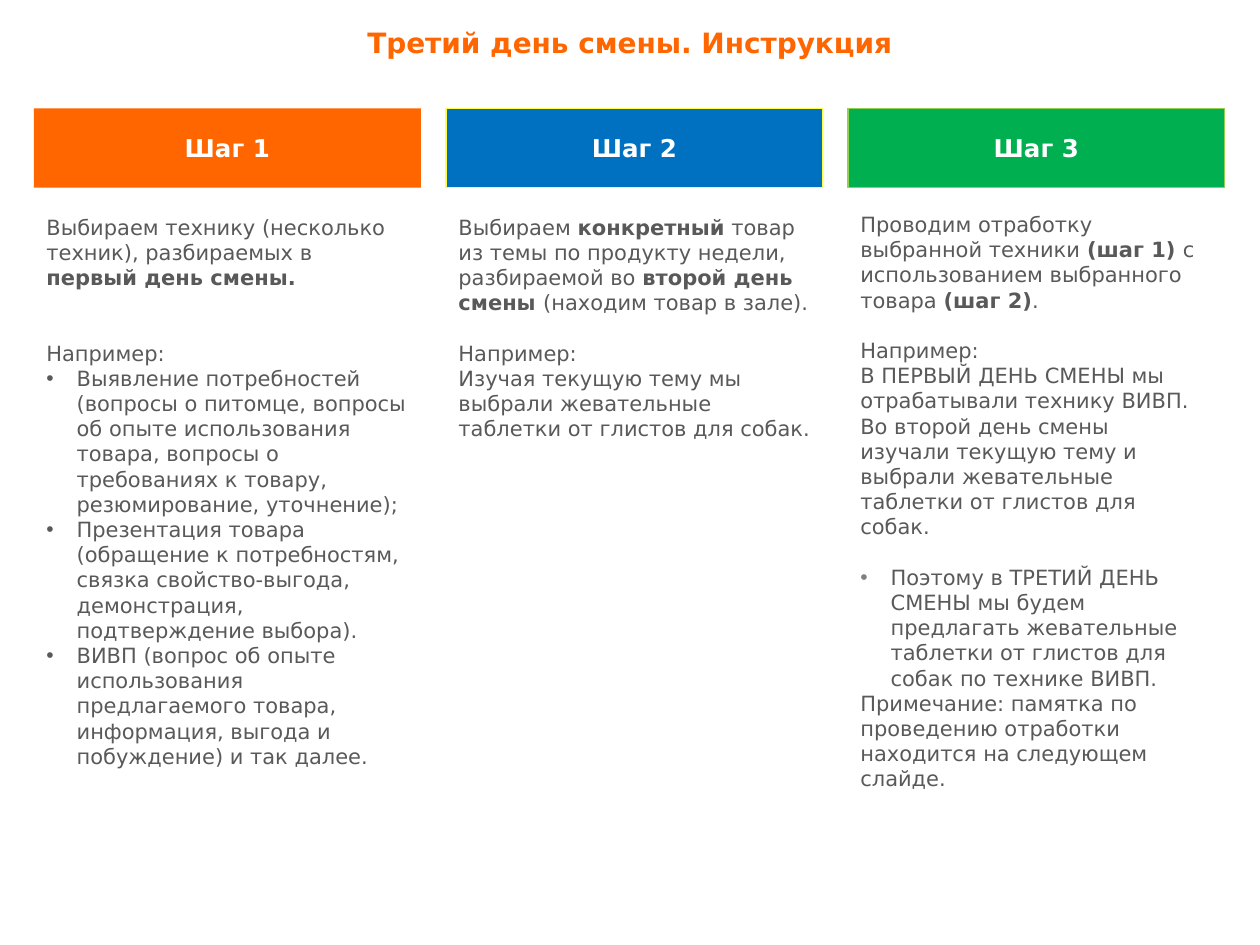
"""Build the three-step instruction slide for the third day of the shift."""
from itertools import accumulate

from lxml.etree import SubElement
from pptx import Presentation
from pptx.dml.color import RGBColor
from pptx.enum.shapes import MSO_SHAPE as Shape
from pptx.enum.text import MSO_ANCHOR as Anchor, MSO_AUTO_SIZE as AutoSize, PP_ALIGN as Align
from pptx.oxml.ns import qn
from pptx.util import Inches, Pt

FONT = "DejaVu Sans"
ORANGE, WHITE, GREY, LIGHT_GREY = "FF6600", "FFFFFF", "595959", "808080"
TITLE = "Третий день смены. Инструкция"

STEPS = [
    {"name": "Шаг 1", "fill": ORANGE, "line": None, "width": 3.07,
     "body": (1.65, 3.07, 4.96), "text": [
         ("Выбираем технику (несколько техник), разбираемых в **первый день смены.**", 0, None),
         ("Например:", 2, None),
         ("Выявление потребностей (вопросы о питомце, вопросы об опыте использования товара, "
          "вопросы о требованиях к товару, резюмирование, уточнение);", 0, GREY),
         ("Презентация товара (обращение к потребностям, связка свойство-выгода, "
          "демонстрация, подтверждение выбора).", 0, GREY),
         ("ВИВП (вопрос об опыте использования предлагаемого товара, информация, "
          "выгода и побуждение) и так далее.", 0, GREY)]},
    {"name": "Шаг 2", "fill": "0070C0", "line": "FFFF47", "width": 2.99,
     "body": (1.65, 2.99, 2.99), "text": [
         ("Выбираем **конкретный** товар из темы по продукту недели, разбираемой во "
          "**второй день смены **(находим товар в зале).", 0, None),
         ("Например:", 1, None),
         ("Изучая текущую тему мы выбрали жевательные таблетки от глистов для собак.", 0, None)]},
    {"name": "Шаг 3", "fill": "00B050", "line": "92D050", "width": 2.99,
     "body": (1.63, 2.91, 4.96), "text": [
         ("Проводим отработку выбранной техники **(шаг 1) **с использованием выбранного "
          "товара **(шаг 2)**.", 0, None),
         ("Например:", 1, None),
         ("В ПЕРВЫЙ ДЕНЬ СМЕНЫ мы отрабатывали технику ВИВП. Во второй день смены изучали "
          "текущую тему и выбрали жевательные таблетки от глистов для собак.", 0, None),
         ("Поэтому в ТРЕТИЙ ДЕНЬ СМЕНЫ мы будем предлагать жевательные таблетки "
          "от глистов для собак по технике ВИВП.", 1, LIGHT_GREY),
         ("Примечание: памятка по проведению отработки находится на следующем слайде.", 0, None)]},
]
MARGIN, GAP, HEADER_TOP, HEADER_HEIGHT = 0.27, 0.2, 0.86, 0.63
BLANK_LINE, BULLET_INDENT = 14.4, 0.24


def color(value):
    return RGBColor.from_string(value)


def add_bullet(para, value):
    props = para._p.get_or_add_pPr()
    indent = Inches(BULLET_INDENT)
    props.set("marL", str(indent))
    props.set("indent", str(-indent))
    SubElement(SubElement(props, qn("a:buClr")), qn("a:srgbClr")).set("val", value)
    SubElement(props, qn("a:buFont")).set("typeface", "Arial")
    SubElement(props, qn("a:buChar")).set("char", "•")


def write(para, text, size, value, bold=False):
    for index, part in enumerate(text.split("**")):
        if part:
            span = para.add_run()
            span.text = part
            look = {"name": FONT, "size": Pt(size), "bold": bold or index % 2 == 1}
            for key, setting in look.items():
                setattr(span.font, key, setting)
            span.font.color.rgb = color(value)


def add_box(page, *place):
    box = page.shapes.add_textbox(*map(Inches, place))
    box.text_frame.word_wrap = True
    return box.text_frame


def add_header(page, step, left):
    place = (left, HEADER_TOP, step["width"], HEADER_HEIGHT)
    box = page.shapes.add_shape(Shape.RECTANGLE, *map(Inches, place))
    box.shadow.inherit = False
    box.fill.solid()
    box.fill.fore_color.rgb = color(step["fill"])
    if step["line"]:
        box.line.color.rgb = color(step["line"])
        box.line.width = Pt(0.75)
    else:
        box.line.fill.background()
    box.text_frame.vertical_anchor = Anchor.MIDDLE
    para = box.text_frame.paragraphs[0]
    para.alignment = Align.CENTER
    write(para, step["name"], 14, WHITE, bold=True)


def add_body(page, step, left):
    top, width, height = step["body"]
    frame = add_box(page, left, top, width, height)
    for index, (text, blanks, bullet) in enumerate(step["text"]):
        para = frame.add_paragraph() if index else frame.paragraphs[0]
        if blanks:
            para.space_before = Pt(blanks * BLANK_LINE)
        if bullet:
            add_bullet(para, bullet)
        write(para, text, 12, GREY)


def main():
    deck = Presentation()
    deck.slide_width, deck.slide_height = Inches(10), Inches(7.5)
    page = deck.slides.add_slide(deck.slide_layouts[6])
    title = add_box(page, 0, 0.15, 10, 0.37)
    title.auto_size = AutoSize.SHAPE_TO_FIT_TEXT
    title.paragraphs[0].alignment = Align.CENTER
    write(title.paragraphs[0], TITLE, 16, ORANGE, bold=True)
    lefts = accumulate((step["width"] + GAP for step in STEPS), initial=MARGIN)
    for step, left in zip(STEPS, lefts):
        add_header(page, step, left)
        add_body(page, step, left)
    deck.save("out.pptx")


if __name__ == "__main__":
    main()
